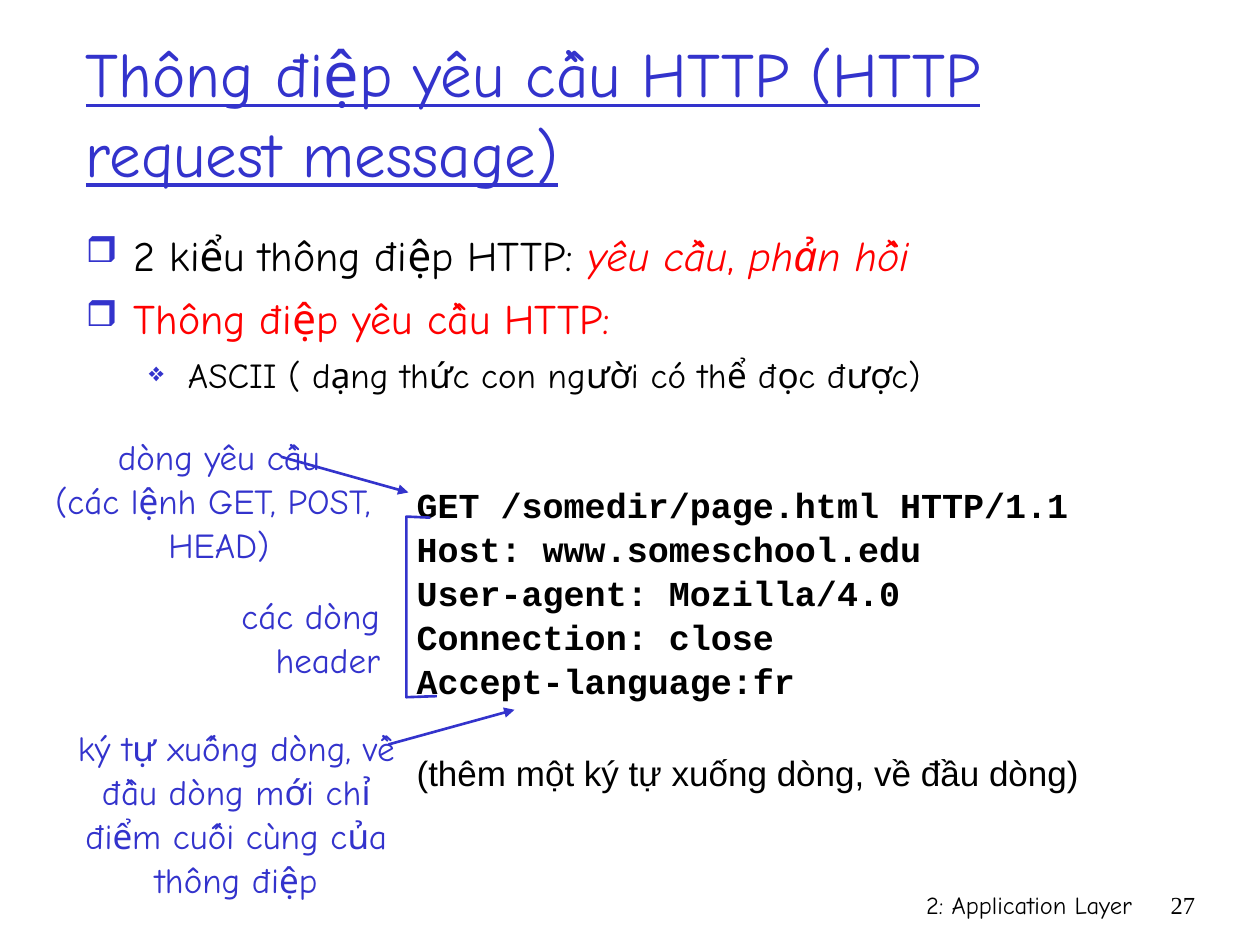
"""Build the slide on HTTP request messages."""
from dataclasses import dataclass

from lxml import etree
from pptx import Presentation, util as u
from pptx.dml.color import RGBColor
from pptx.enum import text as t
from pptx.enum.shapes import MSO_CONNECTOR
from pptx.oxml.ns import qn

WIDTH, HEIGHT = u.Inches(10), u.Inches(7.5)
COLUMN, ROW = WIDTH / 120, HEIGHT / 90
BLUE, RED, BLACK = "3333CC", "FF0000", "000000"
COMIC, CODE, SANS, SERIF = "Comic Neue", "Courier New", "Arial", "Times New Roman"
LEFT, CENTER, RIGHT = t.PP_ALIGN.LEFT, t.PP_ALIGN.CENTER, t.PP_ALIGN.RIGHT


@dataclass(frozen=True)
class Area:
    """Rectangle in grid columns and rows."""
    left: float
    top: float
    width: float
    height: float


@dataclass(frozen=True)
class Label:
    """Annotation beside the request."""
    area: Area
    lines: tuple[str, ...]
    align: t.PP_ALIGN = CENTER
    wrap: bool = False


@dataclass(frozen=True)
class Bullet:
    """Bullet sign with its indents in inches."""
    sign: str
    percent: int
    margin: float
    hanging: float
    before: float


@dataclass(frozen=True)
class Arrow:
    """Start and end of an arrow in grid units."""
    start: tuple[float, float]
    end: tuple[float, float]


MAIN = Bullet("❒", 85, 0.38, 0.38, 6)
SUB = Bullet("❖", 75, 0.81, 0.31, 5)

LABELS = (
    Label(Area(3.8, 40.7, 34.1, 13.2),
          ("dòng yêu cầu", "(các lệnh GET, POST, ", "HEAD)")),
    Label(Area(21.8, 55.8, 16.7, 9.2), ("các dòng ", "header "), RIGHT),
    Label(Area(5.9, 68.4, 33.2, 17.3),
          ("ký tự xuống dòng, về đầu dòng mới chỉ điểm cuối cùng của thông điệp",),
          wrap=True),
)
ARROWS = (Arrow((26.75, 43.5), (38.9, 46.9)), Arrow((37, 70.9), (49, 67.6)))
BRACKET = ((41, 49.3), (38.7, 49.2), (38.7, 66.4), (41.6, 66.3))
REQUEST = ("GET /somedir/page.html HTTP/1.1", "Host: www.someschool.edu",
           "User-agent: Mozilla/4.0", "Connection: close", "Accept-language:fr")


def color(value: str) -> RGBColor:
    """Turn a hex string into a colour."""
    return RGBColor.from_string(value)


def add_box(slide, area: Area, wrap=True, grow=False, anchor=t.MSO_ANCHOR.TOP):
    """Add an empty text box and return its frame."""
    box = slide.shapes.add_textbox(
        int(area.left * COLUMN), int(area.top * ROW),
        int(area.width * COLUMN), int(area.height * ROW))
    frame = box.text_frame
    frame.word_wrap = wrap
    frame.vertical_anchor = anchor
    if grow:
        frame.auto_size = t.MSO_AUTO_SIZE.SHAPE_TO_FIT_TEXT
    return frame


def next_paragraph(frame, align=LEFT, before=0.0):
    """Return the next paragraph to fill in a frame."""
    first = frame.paragraphs[0]
    paragraph = frame.add_paragraph() if first.runs else first
    paragraph.alignment = align
    paragraph.line_spacing = 1.05
    if first.runs:
        paragraph.space_before = u.Pt(before)
    return paragraph


def write(paragraph, text: str, *, size=20, font=COMIC, ink=BLACK,
          bold=False, italic=False, underline=False) -> None:
    """Add a formatted run to a paragraph."""
    run = paragraph.add_run()
    run.text = text
    run.font.size, run.font.name = u.Pt(size), font
    run.font.color.rgb = color(ink)
    run.font.bold, run.font.italic, run.font.underline = bold, italic, underline


def bullet_paragraph(frame, bullet: Bullet):
    """Start a paragraph with a coloured bullet."""
    paragraph = next_paragraph(frame, before=bullet.before)
    properties = paragraph._p.get_or_add_pPr()
    properties.set("marL", str(u.Inches(bullet.margin)))
    properties.set("indent", str(-u.Inches(bullet.hanging)))
    tint = etree.SubElement(properties, qn("a:buClr"))
    etree.SubElement(tint, qn("a:srgbClr"), val=BLUE)
    etree.SubElement(properties, qn("a:buSzPct"), val=str(bullet.percent * 1000))
    etree.SubElement(properties, qn("a:buChar"), char=bullet.sign)
    return paragraph


def style_line(shape) -> None:
    """Give a line its colour and width."""
    shape.line.color.rgb = color(BLUE)
    shape.line.width = u.Pt(1.5)


def add_arrow(slide, arrow: Arrow) -> None:
    """Draw an arrow with a triangular head."""
    (x1, y1), (x2, y2) = arrow.start, arrow.end
    connector = slide.shapes.add_connector(
        MSO_CONNECTOR.STRAIGHT, int(x1 * COLUMN), int(y1 * ROW),
        int(x2 * COLUMN), int(y2 * ROW))
    style_line(connector)
    etree.SubElement(connector.line._get_or_add_ln(), qn("a:tailEnd"), type="triangle")
    etree.SubElement(connector._element.spPr, qn("a:effectLst"))


def add_bracket(slide, points) -> None:
    """Draw the open bracket around the header lines."""
    corners = [(int(x * COLUMN), int(y * ROW)) for x, y in points]
    builder = slide.shapes.build_freeform(*corners[0])
    builder.add_line_segments(corners[1:], close=False)
    shape = builder.convert_to_shape()
    shape.fill.background()
    shape.shadow.inherit = False
    style_line(shape)


def add_label(slide, label: Label) -> None:
    """Write one annotation."""
    frame = add_box(slide, label.area, wrap=label.wrap, grow=True)
    for line in label.lines:
        write(next_paragraph(frame, label.align), line, ink=BLUE)


def add_body(slide) -> None:
    """Write the bulleted points."""
    frame = add_box(slide, Area(7, 21, 102, 61))
    kinds = bullet_paragraph(frame, MAIN)
    write(kinds, "2 kiểu thông điệp HTTP: ", size=24)
    for text, italic in (("yêu cầu", True), (", ", False), ("phản hồi", True)):
        write(kinds, text, size=24, ink=RED, italic=italic)
    write(bullet_paragraph(frame, MAIN), "Thông điệp yêu cầu HTTP:", size=24, ink=RED)
    write(bullet_paragraph(frame, SUB), "ASCII ( dạng thức con người có thể đọc được)")


def add_request(slide) -> None:
    """Write the sample request and its closing remark."""
    frame = add_box(slide, Area(38.5, 45.25, 65.5, 30), wrap=False, grow=True)
    for line in REQUEST:
        write(next_paragraph(frame), line, font=CODE, bold=True)
    write(next_paragraph(frame, before=27),
          "(thêm một ký tự xuống dòng, về đầu dòng)", font=SANS)


def main() -> None:
    """Build and save the presentation."""
    presentation = Presentation()
    presentation.slide_width, presentation.slide_height = WIDTH, HEIGHT
    slide = presentation.slides.add_slide(presentation.slide_layouts[6])
    for area, text, font in ((Area(71, 84, 38, 6), "2: Application Layer", COMIC),
                             (Area(109, 84, 6, 6), "27", SERIF)):
        write(next_paragraph(add_box(slide, area), RIGHT), text, size=14, font=font)
    title = add_box(slide, Area(7, 3, 102, 15), anchor=t.MSO_ANCHOR.MIDDLE)
    write(next_paragraph(title), "Thông điệp yêu cầu HTTP (HTTP request message)",
          size=36, ink=BLUE, underline=True)
    add_body(slide)
    add_request(slide)
    for label in LABELS:
        add_label(slide, label)
    for arrow in ARROWS:
        add_arrow(slide, arrow)
    add_bracket(slide, BRACKET)
    presentation.save("out.pptx")


if __name__ == "__main__":
    main()
